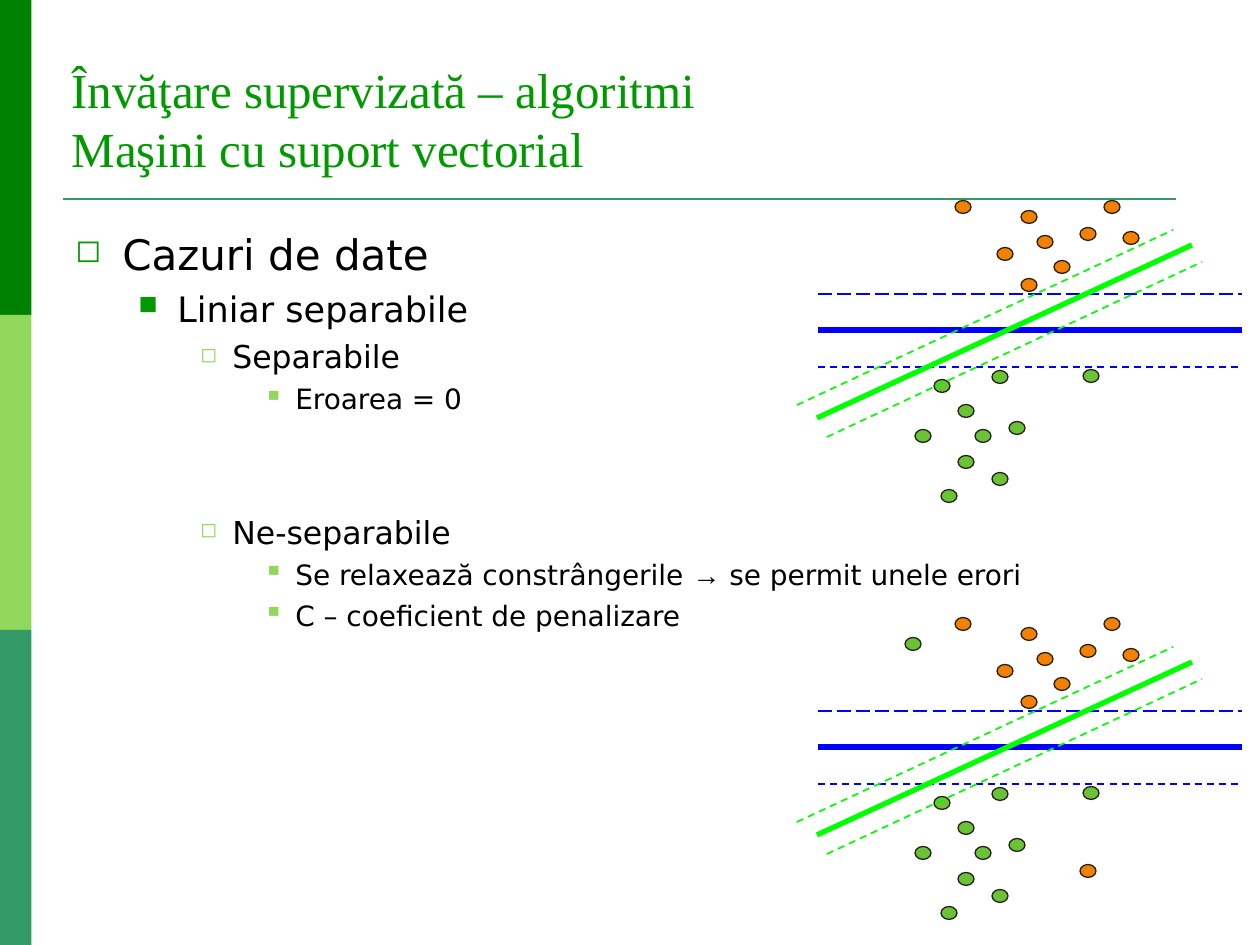
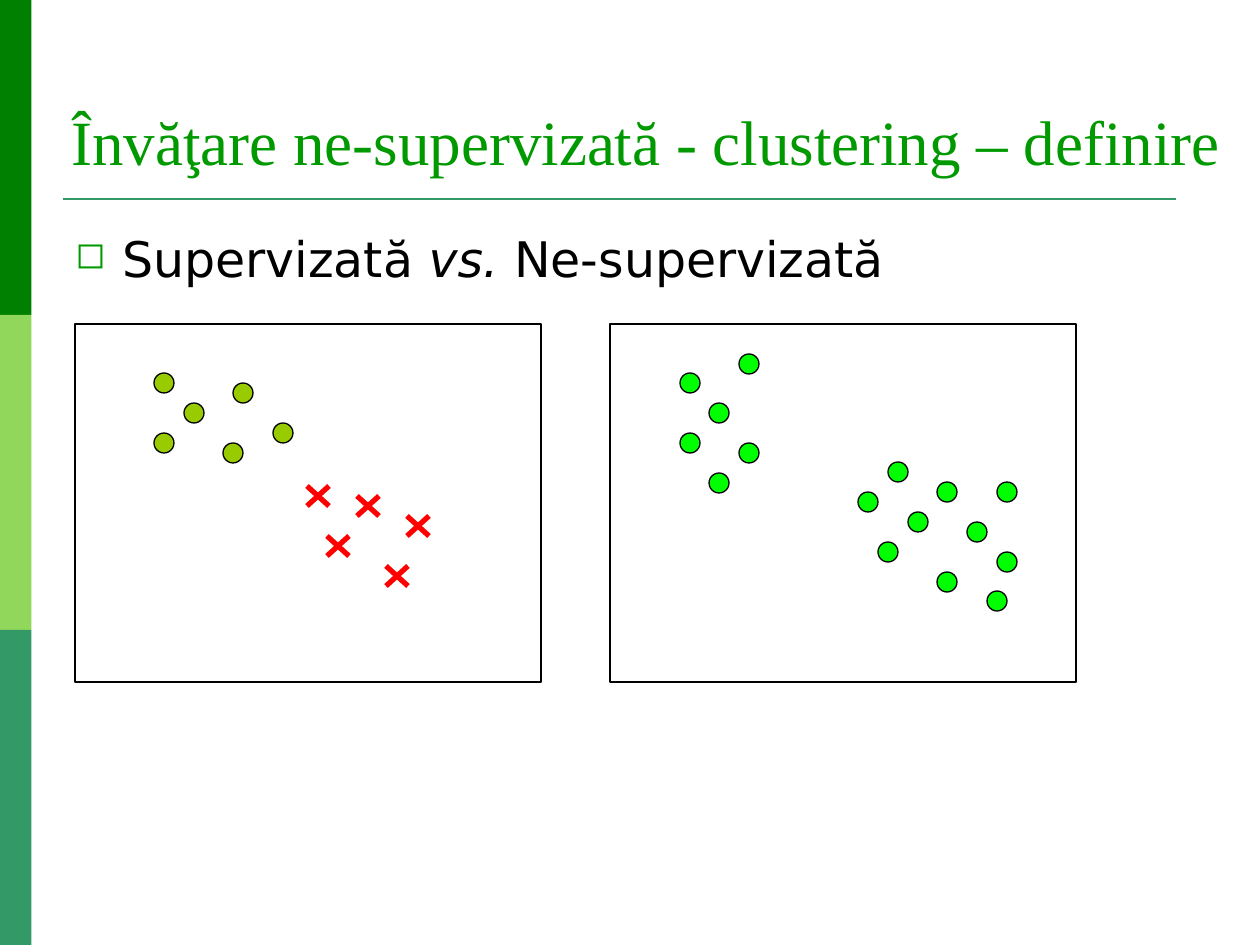
from pptx import Presentation, util as u
from pptx.dml.color import RGBColor
from pptx.enum import dml, shapes, text
from pptx.oxml.ns import qn
from lxml import etree

LEAF = RGBColor(0x00, 0x99, 0x00)
DARK = RGBColor(0x00, 0x80, 0x00)
LIGHT = RGBColor(0x90, 0xD7, 0x5B)
TEAL = RGBColor(0x33, 0x99, 0x66)
BLACK = RGBColor(0, 0, 0)
EDGE = RGBColor(0x24, 0x21, 0x1D)
GRASS = RGBColor(0x6A, 0xC3, 0x35)
ORANGE = RGBColor(0xF4, 0x80, 0x00)
BLUE = RGBColor(0, 0, 0xFF)
LIME = RGBColor(0, 0xFF, 0)
OLIVE = RGBColor(0x99, 0xCC, 0x00)
RED = RGBColor(0xFF, 0, 0)

HEAD, BODY, SIGN = "Times New Roman", "DejaVu Sans", "Arial"
OVAL, RECT = shapes.MSO_SHAPE.OVAL, shapes.MSO_SHAPE.RECTANGLE
DASH, LONG = dml.MSO_LINE.DASH, dml.MSO_LINE.LONG_DASH

# Per level: left margin, hanging indent, bullet, its colour, its size in %
LEVELS = [
    (47, 47, "◻", LEAF, 75),
    (102, 39, "■", LEAF, 75),
    (157, 32, "◻", LIGHT, 65),
    (220, 32, "▪", LIGHT, 100),
]

# Title, title size, body lines: level, size, space before, runs
SVM = ("Învăţare supervizată – algoritmi \vMaşini cu suport vectorial", 28, [
    (0, 24, 0, ["Cazuri de date"]),
    (1, 20, 5, ["Liniar separabile"]),
    (2, 18, 4.5, ["Separabile"]),
    (3, 16, 4, ["Eroarea = 0"]),
    (2, 18, 55.5, ["Ne-separabile"]),
    (3, 16, 4, ["Se relaxează constrângerile ", "→", " se permit unele erori"]),
    (3, 16, 4, ["C – coeficient de penalizare"]),
])
CLUSTER = ("Învăţare ne-supervizată - clustering – definire", 36, [
    (0, 28, 0, ["Supervizată ", "vs.", " Ne-supervizată"]),
])
STYLES = {"→": ("name", SIGN), "vs.": ("italic", True)}

# Centres of the dots in the upper plot
ABOVE = [(1005, 254), (1029, 217), (1045, 242), (1029, 285), (1062, 267),
         (1131, 238), (1112, 207), (963, 207), (1088, 234)]
BELOW = [(966, 462), (966, 411), (1017, 428), (1000, 377), (1091, 376),
         (949, 496), (1000, 479), (942, 386), (983, 436), (923, 436)]
# Stray dots of the lower plot, which sits DROP below the upper one
STRAY_LOW, STRAY_HIGH = [(913, 227)], [(1088, 454)]
DROP = 417
# Lines of a plot: ends, colour, width, dash
MARGINS = [
    (818, 330, 1242, 330, BLUE, 3, None),
    (818, 367, 1242, 367, BLUE, 1, DASH),
    (818, 294, 1242, 294, BLUE, 1, LONG),
    (797, 405, 1173, 230, LIME, 1, DASH),
    (827, 437, 1202, 262, LIME, 1, DASH),
    (817, 418, 1192, 245, LIME, 3, None),
]

FRAMES = [75, 610]
KNOWN = [(164, 383), (194, 413), (164, 443), (233, 453), (243, 393), (283, 433)]
CROSSES = [(318, 496), (368, 506), (338, 546), (397, 576), (418, 526)]
MIXED = [(690, 383), (719, 413), (690, 443), (749, 453), (719, 483), (749, 364),
         (868, 502), (898, 472), (947, 492), (918, 522), (888, 552), (947, 582),
         (977, 532), (1007, 492), (1007, 562), (997, 601)]


def px(n):
    return u.Emu(round(n * 914400 / 126))


def shape(slide, kind, x, y, w, h, fill=None, edge=None, width=0):
    s = slide.shapes.add_shape(kind, px(x), px(y), px(w), px(h))
    s.shadow.inherit = False
    if fill is None:
        s.fill.background()
    else:
        s.fill.solid()
        s.fill.fore_color.rgb = fill
    if edge is None:
        s.line.fill.background()
    else:
        s.line.color.rgb = edge
        s.line.width = u.Pt(width)


def dots(slide, spots, fill, w, h, edge, width):
    for x, y in spots:
        shape(slide, OVAL, x - w / 2, y - h / 2, w, h, fill, edge, width)


def line(slide, x1, y1, x2, y2, color, width, dash=None):
    c = slide.shapes.add_connector(shapes.MSO_CONNECTOR.STRAIGHT,
                                   px(x1), px(y1), px(x2), px(y2))
    c.line.color.rgb = color
    c.line.width = u.Pt(width)
    if dash:
        c.line.dash_style = dash
    etree.SubElement(c._element.spPr, qn("a:effectLst"))


def font(para, name, size, color):
    para.font.name = name
    para.font.size = u.Pt(size)
    para.font.color.rgb = color


def bullet(para, level):
    left, hang, char, color, size = LEVELS[level]
    props = para._p.get_or_add_pPr()
    props.set("marL", str(px(left)))
    props.set("indent", str(-px(hang)))
    tint = etree.SubElement(props, qn("a:buClr"))
    etree.SubElement(tint, qn("a:srgbClr"), val=str(color))
    etree.SubElement(props, qn("a:buSzPct"), val=str(size * 1000))
    etree.SubElement(props, qn("a:buChar"), char=char)


def base(deck, title, size, lines):
    """Add a slide with its bands, rule, title and bullet list."""
    slide = deck.slides.add_slide(deck.slide_layouts[5])
    for i, color in enumerate([DARK, LIGHT, TEAL]):
        shape(slide, RECT, 0, i * 315, 31.5, 315, color)
    line(slide, 63, 199, 1176, 199, TEAL, 1.5)

    head = slide.shapes.title
    head.left, head.top, head.width, head.height = map(px, (59, 38, 1186, 146))
    frame = head.text_frame
    frame.text = title
    frame.word_wrap = True
    frame.auto_size = text.MSO_AUTO_SIZE.NONE
    frame.vertical_anchor = text.MSO_ANCHOR.BOTTOM
    para = frame.paragraphs[0]
    para.alignment = text.PP_ALIGN.LEFT
    font(para, HEAD, size, LEAF)

    frame = slide.shapes.add_textbox(*map(px, (63, 222, 1182, 698))).text_frame
    frame.word_wrap = True
    for i, (level, pts, gap, runs) in enumerate(lines):
        para = frame.add_paragraph() if i else frame.paragraphs[0]
        para.level = level
        bullet(para, level)
        para.space_before = u.Pt(gap)
        font(para, BODY, pts, BLACK)
        for words in runs:
            run = para.add_run()
            run.text = words
            if words in STYLES:
                setattr(run.font, *STYLES[words])
    return slide


def plot(slide, drop, low, high):
    """Draw two classes of dots with the lines that part them."""
    for spots, fill in ((low, GRASS), (high, ORANGE)):
        dots(slide, [(x, y + drop) for x, y in spots], fill, 16, 13, EDGE, 0)
    for x1, y1, x2, y2, *look in MARGINS:
        line(slide, x1, y1 + drop, x2, y2 + drop, *look)


def main():
    deck = Presentation()
    deck.slide_width, deck.slide_height = px(1260), px(945)

    slide = base(deck, *SVM)
    plot(slide, DROP, BELOW + STRAY_LOW, ABOVE + STRAY_HIGH)
    plot(slide, 0, BELOW, ABOVE)

    slide = base(deck, *CLUSTER)
    for x in FRAMES:
        shape(slide, RECT, x, 324, 466, 358, None, BLACK, 0.75)
    dots(slide, KNOWN, OLIVE, 20, 20, BLACK, 0.75)
    dots(slide, MIXED, LIME, 20, 20, BLACK, 0.75)
    for x, y in CROSSES:
        for rise in (-10, 10):
            line(slide, x - 11, y - rise, x + 11, y + rise, RED, 3)

    deck.save("out.pptx")


if __name__ == "__main__":
    main()
